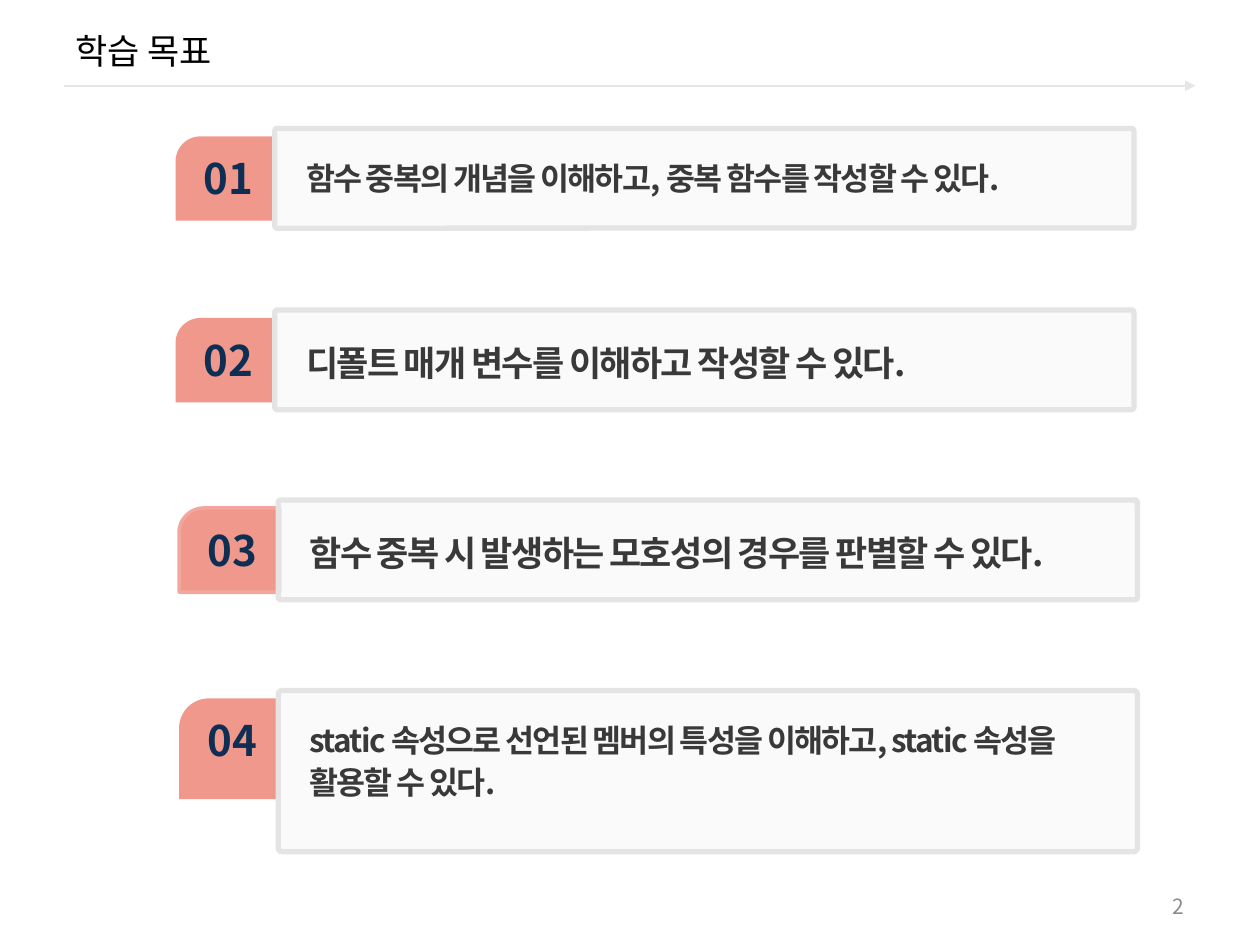
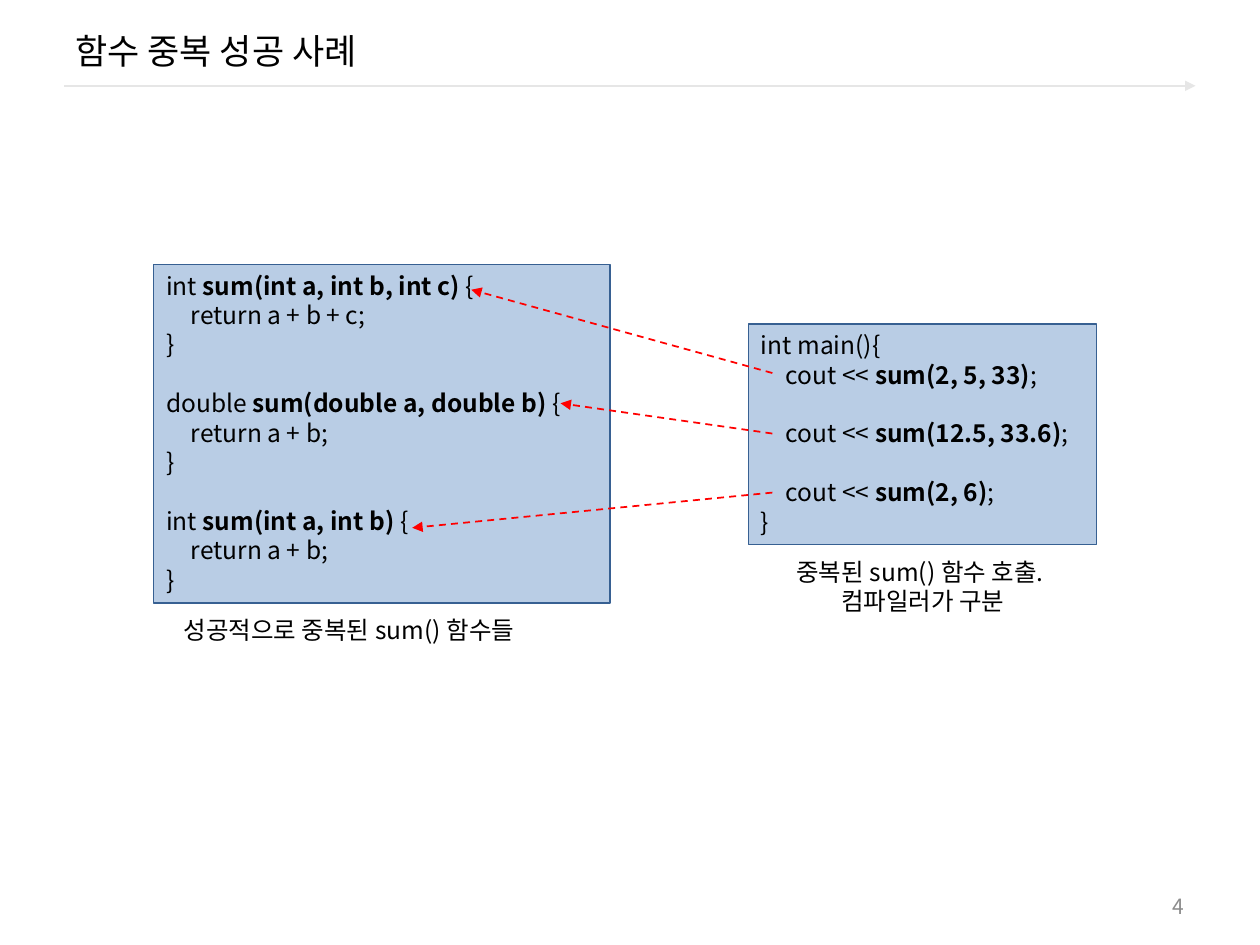
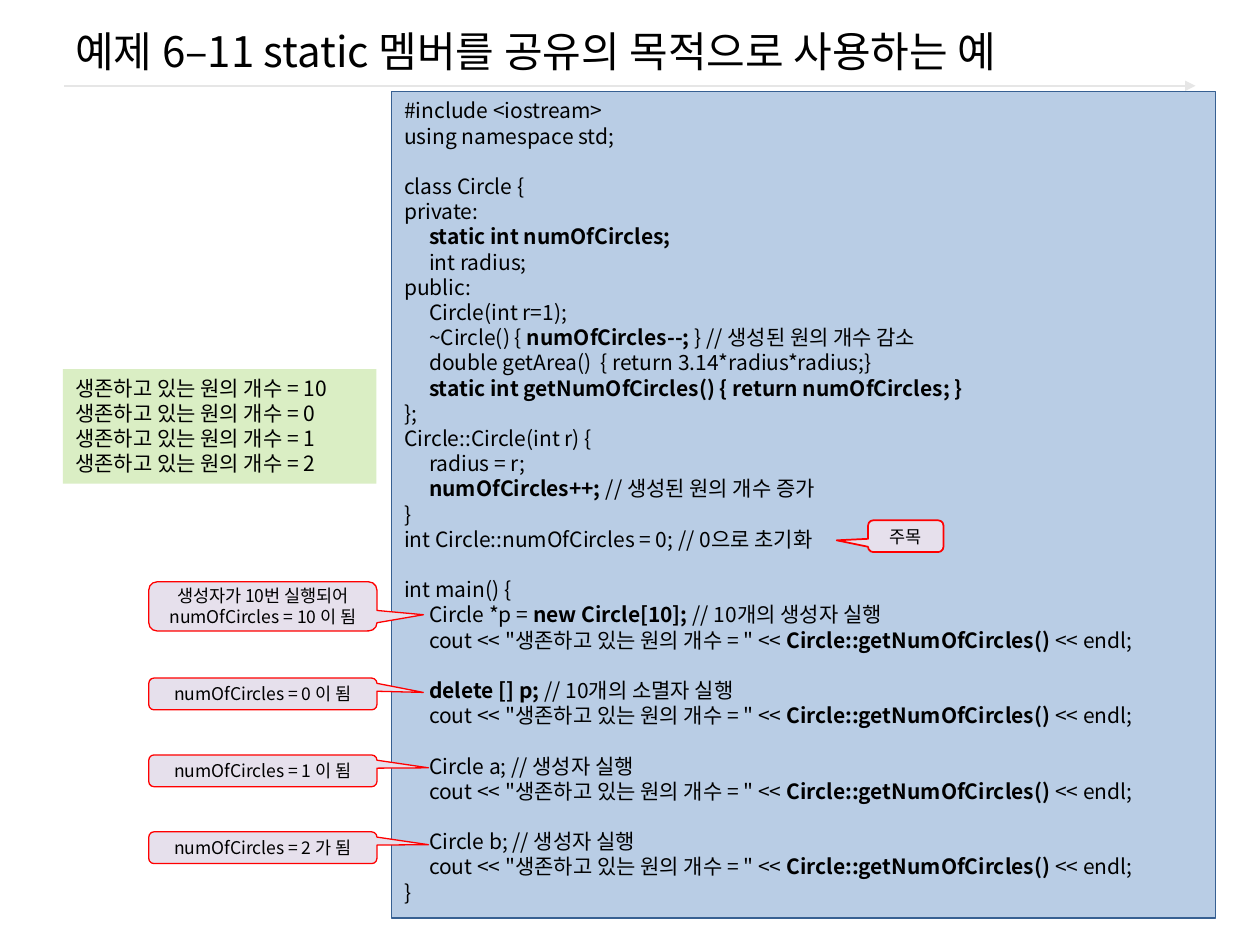
import pptx
import pptx.util
import pptx.dml.color
import pptx.enum.dml
import pptx.enum.shapes
import pptx.enum.text
import pptx.oxml.ns
from lxml import etree

Cm, Pt = pptx.util.Cm, pptx.util.Pt
SHAPE = pptx.enum.shapes.MSO_SHAPE
ALIGN = pptx.enum.text.PP_ALIGN
ANCHOR = pptx.enum.text.MSO_ANCHOR
qn = pptx.oxml.ns.qn

FONT = "Noto Sans CJK KR"
LINE_HEIGHT = 1.2
COLORS = {
    "text": "000000", "rule": "E6E6E6", "page": "8C8C8C",
    "tag": "F0988C", "tag_line": "F2A69C", "number": "0F2E53",
    "card": "F2F2F2", "card_line": "E4E4E4", "goal": "393939",
    "code": "B9CDE5", "code_line": "376092", "output": "DAEEC4",
    "callout": "E6E0EC", "red": "FF0000",
}

GOALS = [  # left, top, height of card, height of tag, text size, text
    (5.54, 2.59, 2.01, 1.7, 18, "함수 중복의 개념을 이해하고, 중복 함수를 작성할 수 있다."),
    (5.54, 6.25, 2.01, 1.7, 20, "디폴트 매개 변수를 이해하고 작성할 수 있다."),
    (5.61, 10.08, 2.01, 1.7, 20, "함수 중복 시 발생하는 모호성의 경우를 판별할 수 있다."),
    (5.61, 13.92, 3.25, 2.03, 18,
     "static 속성으로 선언된 멤버의 특성을 이해하고, static 속성을 활용할 수 있다."),
]

# Text between ** marks is bold; an empty line becomes space before the next one.
SUM_CODE = """int **sum(int a, int b, int c) **{
\treturn a + b + c;
}

double **sum(double a, double b) **{
\treturn a + b;
}

int **sum(int a, int b) **{
\treturn a + b;
}"""

MAIN_CODE = """int main(){
\tcout << **sum(2, 5, 33)**;

\tcout << **sum(12.5, 33.6)**;

\tcout << **sum(2, 6)**;
}"""

PRINT_COUNT = '\tcout << "생존하고 있는 원의 개수 = " << **Circle::getNumOfCircles()** << endl;'
CIRCLE_CODE = f"""#include <iostream>
using namespace std;

class Circle {{
private:
\t**static int numOfCircles;**
\tint radius;
public:
\tCircle(int r=1);
\t~Circle() {{ **numOfCircles--; **}} // 생성된 원의 개수 감소
\tdouble getArea()  {{ return 3.14*radius*radius;}}
\t**static int getNumOfCircles() {{ return numOfCircles; }}**
}};
Circle::Circle(int r) {{
\tradius = r;
\t**numOfCircles++; **// 생성된 원의 개수 증가
}}
int Circle::numOfCircles = 0; // 0으로 초기화

int main() {{
\tCircle *p = **new Circle[10]; **// 10개의 생성자 실행
{PRINT_COUNT}

\t**delete [] p; **// 10개의 소멸자 실행
{PRINT_COUNT}

\tCircle a; // 생성자 실행
{PRINT_COUNT}

\tCircle b; // 생성자 실행
{PRINT_COUNT}
}}"""


def rgb(name):
    return pptx.dml.color.RGBColor.from_string(COLORS[name])


def cm_box(box):
    return [Cm(v) for v in box]


def add_run(p, text, size, color, bold, spacing):
    r = p.add_run()
    r.text = text
    r.font.size = Pt(size)
    r.font.bold = bold
    r.font.color.rgb = rgb(color)
    r.font.name = FONT
    rPr = r.font._element
    etree.SubElement(rPr, qn("a:ea")).set("typeface", FONT)
    if spacing:
        rPr.set("spc", str(spacing * 100))


def write(sp, text, size, color="text", bold=False, align=ALIGN.LEFT,
          anchor=ANCHOR.TOP, wrap=True, leading=LINE_HEIGHT, spacing=0):
    """Fill a shape with lines of text, ** marks switching bold."""
    tf = sp.text_frame
    tf.word_wrap = wrap
    tf.vertical_anchor = anchor
    p, gap = None, 0
    for line in text.split("\n"):
        if not line:
            gap += 1
            continue
        p = tf.add_paragraph() if p else tf.paragraphs[0]
        p.alignment = align
        p.line_spacing = Pt(size * leading)
        if gap:
            p.space_before = Pt(size * leading * gap)
            gap = 0
        if line.startswith("\t"):
            tabs = etree.SubElement(p._p.get_or_add_pPr(), qn("a:tabLst"))
            etree.SubElement(tabs, qn("a:tab"), pos=str(Cm(0.5)), algn="l")
        for i, part in enumerate(line.split("**")):
            if part:
                add_run(p, part, size, color, bold or i % 2 == 1, spacing)


def add_text(shapes, box, text, size, **style):
    write(shapes.add_textbox(*cm_box(box)), text, size, **style)


def add_panel(shapes, kind, box, fill, line=None, width=0.75, adj=()):
    sp = shapes.add_shape(kind, *cm_box(box))
    sp.shadow.inherit = False
    for i, value in enumerate(adj):
        sp.adjustments[i] = value
    sp.fill.solid()
    sp.fill.fore_color.rgb = rgb(fill)
    if line:
        sp.line.color.rgb = rgb(line)
        sp.line.width = Pt(width)
    else:
        sp.line.fill.background()
    return sp


def add_arrow(s, start, end, color, width, dashed=False):
    c = s.shapes.add_connector(pptx.enum.shapes.MSO_CONNECTOR.STRAIGHT,
                               *cm_box(start + end))
    c.line.color.rgb = rgb(color)
    c.line.width = Pt(width)
    if dashed:
        c.line.dash_style = pptx.enum.dml.MSO_LINE.DASH
    etree.SubElement(c.line._get_or_add_ln(), qn("a:tailEnd"), type="triangle")
    etree.SubElement(c._element.spPr, qn("a:effectLst"))


def add_slide(prs, title, size=20, page=None):
    """Add a slide with the shared title, rule and page number."""
    s = prs.slides.add_slide(prs.slide_layouts[6])
    add_arrow(s, (1.3, 1.73), (24.1, 1.73), "rule", 1.5)
    add_text(s.shapes, (1.27, 0.2, 22.86, 1.63), title, size, anchor=ANCHOR.MIDDLE)
    if page:
        add_text(s.shapes, (18.21, 17.86, 5.92, 0.81), page, 12, color="page",
                 align=ALIGN.RIGHT, anchor=ANCHOR.MIDDLE)
    return s


def add_goal(s, box, number, tag_height, size, text, outlined):
    left, top, width, height = box
    shapes = s.shapes.add_group_shape().shapes
    add_panel(shapes, SHAPE.SNIP_ROUND_RECTANGLE,
              (left - 2, top + 0.16, 2.03, tag_height), "tag",
              "tag_line" if outlined else None, 2, (0.296, 0))
    add_text(shapes, (left - 1.68, top + 0.36, 1.5, 1.27), number, 24,
             color="number", bold=True, align=ALIGN.CENTER, wrap=False)
    card = add_panel(shapes, SHAPE.ROUNDED_RECTANGLE, box, "card", "card_line", 3, (0.023,))
    color = card._element.spPr.find(qn("a:solidFill"))[0]
    etree.SubElement(color, qn("a:alpha"), val="33000")
    add_text(shapes, (left + 0.38, top + 0.42, width - 0.56, height - 0.9), text, size,
             color="goal", bold=True, leading=LINE_HEIGHT * 1.1, spacing=-1)


def add_code(s, box, code, size):
    write(add_panel(s.shapes, SHAPE.RECTANGLE, box, "code", "code_line"), code, size)


def add_callout(s, box, text, tip, width=0.75):
    sp = add_panel(s.shapes, SHAPE.ROUNDED_RECTANGULAR_CALLOUT, box, "callout",
                   "red", width, (*tip, 0.167))
    write(sp, text, 10, align=ALIGN.CENTER, anchor=ANCHOR.MIDDLE)


def goals_slide(prs):
    s = add_slide(prs, "학습 목표", page="2")
    for i, (left, top, height, tag_height, size, text) in enumerate(GOALS, 1):
        add_goal(s, (left, top, 17.32, height), f"{i:02}", tag_height, size, text,
                 outlined=i == 3)


def overload_slide(prs):
    s = add_slide(prs, "함수 중복 성공 사례", page="4")
    add_code(s, (3.1, 5.33, 9.2, 6.83), SUM_CODE, 14)
    add_code(s, (15.09, 6.53, 7.01, 4.45), MAIN_CODE, 14)
    add_text(s.shapes, (3.45, 12.27, 7.77, 0.86), "성공적으로 중복된 sum() 함수들", 14)
    add_text(s.shapes, (15.57, 11.1, 6.07, 1.45),
             "중복된 sum() 함수 호출. \n컴파일러가 구분", 14, align=ALIGN.CENTER)
    for call_y, end in ((7.52, (9.5, 5.84)), (8.74, (11.3, 8.13)), (9.93, (8.31, 10.64))):
        add_arrow(s, (15.57, call_y), end, "red", 1, dashed=True)


def static_slide(prs):
    s = add_slide(prs, "예제 6–11 static 멤버를 공유의 목적으로 사용하는 예", size=24)
    add_code(s, (7.9, 1.85, 16.61, 16.66), CIRCLE_CODE, 12)
    output = add_panel(s.shapes, SHAPE.RECTANGLE, (1.27, 7.44, 6.32, 2.31), "output")
    write(output, "\n".join(f"생존하고 있는 원의 개수 = {n}" for n in (10, 0, 1, 2)), 12)
    add_callout(s, (17.5, 10.49, 1.52, 0.64), "주목", (-0.916, 0.131), 1)
    add_callout(s, (3, 11.73, 4.6, 0.99), "생성자가 10번 실행되어\nnumOfCircles = 10 이 됨",
                (0.704, 0.17))
    results = (("0 이", (0.703, -0.048)), ("1 이", (0.726, -0.095)), ("2 가", (0.726, -0.095)))
    for i, (count, tip) in enumerate(results):
        add_callout(s, (3, 13.67 + 1.55 * i, 4.6, 0.64), f"numOfCircles = {count} 됨", tip)


def main():
    prs = pptx.Presentation()
    prs.slide_width, prs.slide_height = Cm(25.4), Cm(19.05)
    goals_slide(prs)
    overload_slide(prs)
    static_slide(prs)
    prs.save("out.pptx")


if __name__ == "__main__":
    main()
